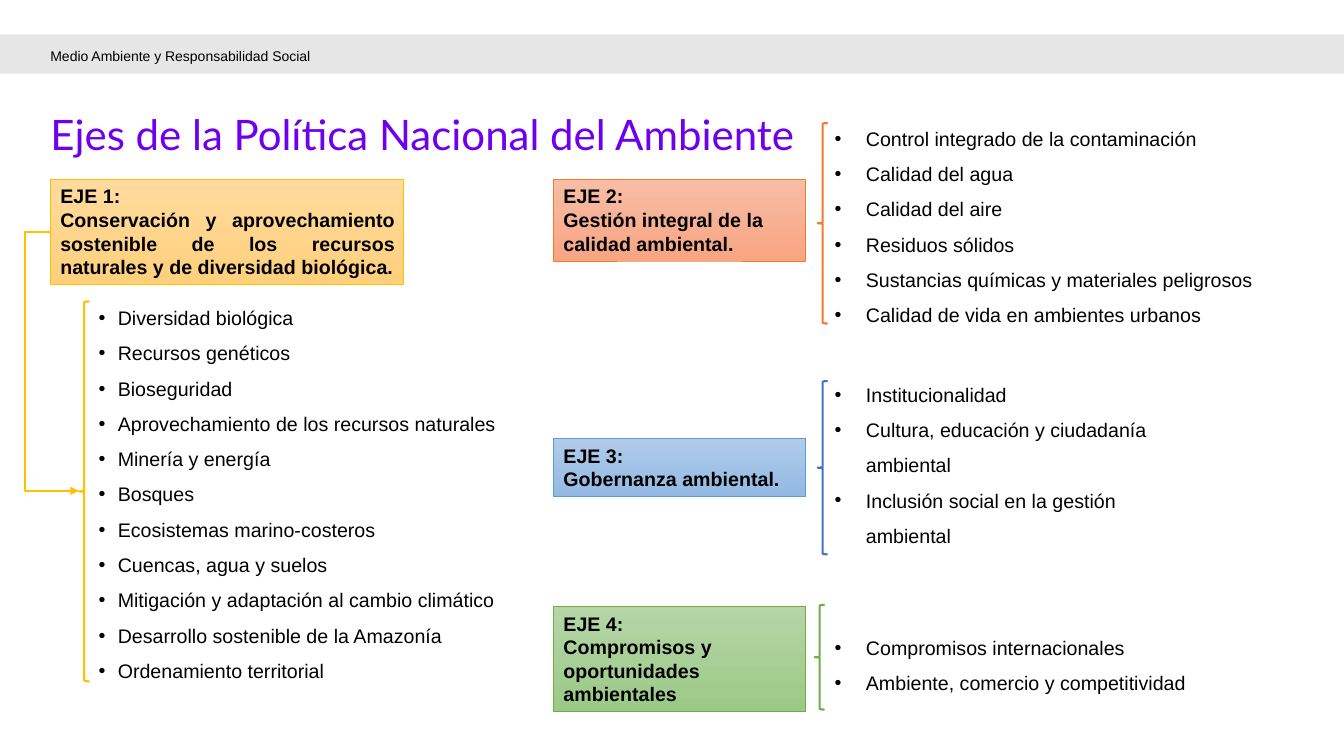
import pptx
import pptx.util
import pptx.dml.color
import pptx.enum.shapes
import pptx.enum.text
import lxml.etree

RGBColor = pptx.dml.color.RGBColor
SHAPE = pptx.enum.shapes.MSO_SHAPE
ALIGN = pptx.enum.text.PP_ALIGN
ANCHOR = pptx.enum.text.MSO_ANCHOR
Pt = pptx.util.Pt

PX = 9144  # 100 px to the inch
BLACK = RGBColor(0x00, 0x00, 0x00)
PURPLE = RGBColor(0x6E, 0x00, 0xED)
GRAY = RGBColor(0xE7, 0xE6, 0xE6)
GOLD = RGBColor(0xFF, 0xC0, 0x00)
GOLD_TOP, GOLD_BOTTOM = RGBColor(0xFF, 0xDB, 0x9E), RGBColor(0xFF, 0xD0, 0x7C)
ORANGE = RGBColor(0xED, 0x7D, 0x31)
ORANGE_TOP, ORANGE_BOTTOM = RGBColor(0xF7, 0xBD, 0xA5), RGBColor(0xF8, 0xA5, 0x82)
SKY = RGBColor(0x5B, 0x9B, 0xD5)
SKY_TOP, SKY_BOTTOM = RGBColor(0xB1, 0xCB, 0xE9), RGBColor(0x93, 0xB9, 0xE4)
BLUE = RGBColor(0x44, 0x72, 0xC4)
GREEN = RGBColor(0x70, 0xAD, 0x47)
GREEN_TOP, GREEN_BOTTOM = RGBColor(0xB5, 0xD5, 0xA7), RGBColor(0x9C, 0xC9, 0x87)

HEADER = "Medio Ambiente y Responsabilidad Social"
TITLE = "Ejes de la Política Nacional del Ambiente"
JUSTIFY, LEFT = ALIGN.JUSTIFY, ALIGN.LEFT

# Places are (left, top, width, height) in px.
AXES = [
    dict(box=(50, 178, 350, 104), fill=(GOLD_TOP, GOLD_BOTTOM), border=GOLD,
         heading=["EJE 1:", "Conservación y aprovechamiento sostenible de los "
                  "recursos naturales y de diversidad biológica."],
         align=JUSTIFY, topics_at=(88, 287, 426, 394), indent=19,
         brace=(78, 299, 11, 377), brace_color=GOLD,
         topics=["Diversidad biológica", "Recursos genéticos", "Bioseguridad",
                 "Aprovechamiento de los recursos naturales",
                 "Minería y energía", "Bosques", "Ecosistemas marino-costeros",
                 "Cuencas, agua y suelos",
                 "Mitigación y adaptación al cambio climático",
                 "Desarrollo sostenible de la Amazonía",
                 "Ordenamiento territorial"]),
    dict(box=(549, 178, 250, 81), fill=(ORANGE_TOP, ORANGE_BOTTOM), border=ORANGE,
         heading=["EJE 2:", "Gestión integral de la", "calidad ambiental."],
         align=LEFT, topics_at=(818, 109, 444, 218), indent=31,
         brace=(811, 122, 10, 199), brace_color=ORANGE,
         topics=["Control integrado de la contaminación", "Calidad del agua",
                 "Calidad del aire", "Residuos sólidos",
                 "Sustancias químicas y materiales peligrosos",
                 "Calidad de vida en ambientes urbanos"]),
    dict(box=(549, 435, 250, 57), fill=(SKY_TOP, SKY_BOTTOM), border=SKY,
         heading=["EJE 3:", "Gobernanza ambiental."],
         align=JUSTIFY, topics_at=(818, 363, 385, 187), indent=31,
         brace=(811, 378, 10, 172), brace_color=BLUE,
         topics=["Institucionalidad",
                 "Cultura, educación y ciudadanía ambiental",
                 "Inclusión social en la gestión ambiental"]),
    dict(box=(549, 602, 250, 104), fill=(GREEN_TOP, GREEN_BOTTOM), border=GREEN,
         heading=["EJE 4:", "Compromisos y", "oportunidades", "ambientales"],
         align=JUSTIFY, topics_at=(818, 614, 415, 81), indent=31,
         brace=(808, 600, 10, 104), brace_color=GREEN,
         topics=["Compromisos internacionales",
                 "Ambiente, comercio y competitividad"]),
]
ELBOW_X = 25
BOX_MARGIN_RIGHT = 8  # leaves room for the longest heading line


def emu(place):
    return [v * PX for v in place]


def add_xml(parent, tag, **attributes):
    return lxml.etree.SubElement(parent, pptx.oxml.ns.qn(tag), attributes)


def write(tf, lines, size=14, font="Arial", color=BLACK, bold=False,
          align=LEFT, spacing=1.0, indent=0):
    """Fill a text frame, one paragraph a line; an indent brings bullets."""
    tf.word_wrap = True
    for i, line in enumerate(lines):
        p = tf.paragraphs[0] if i == 0 else tf.add_paragraph()
        p.alignment = align
        p.line_spacing = spacing
        if indent:
            pPr = p._p.get_or_add_pPr()
            pPr.set("marL", str(indent * PX))
            pPr.set("indent", str(-indent * PX))
            add_xml(pPr, "a:buFont", typeface="Arial")
            add_xml(pPr, "a:buChar", char="•")
        r = p.add_run()
        r.text = line
        r.font.size, r.font.name, r.font.bold = Pt(size), font, bold
        r.font.color.rgb = color


def add_text(s, place, lines, inset=True, anchor=ANCHOR.TOP, **style):
    tf = s.shapes.add_textbox(*emu(place)).text_frame
    if not inset:
        tf.margin_left = tf.margin_top = tf.margin_right = tf.margin_bottom = 0
    tf.vertical_anchor = anchor
    write(tf, lines, **style)


def add_outlined(s, kind, place, color, width):
    sp = s.shapes.add_shape(kind, *emu(place))
    sp.shadow.inherit = False
    sp.line.color.rgb = color
    sp.line.width = Pt(width)
    return sp


def add_axis(s, axis):
    sp = add_outlined(s, SHAPE.RECTANGLE, axis["box"], axis["border"], 0.5)
    sp.fill.gradient()
    sp.fill.gradient_angle = 270
    for stop, color in zip(sp.fill.gradient_stops, axis["fill"]):
        stop.color.rgb = color
    sp.text_frame.vertical_anchor = ANCHOR.TOP
    sp.text_frame.margin_right = BOX_MARGIN_RIGHT * PX
    write(sp.text_frame, axis["heading"], bold=True, align=axis["align"])
    add_text(s, axis["topics_at"], axis["topics"], spacing=1.5,
             indent=axis["indent"])
    brace = add_outlined(s, SHAPE.LEFT_BRACE, axis["brace"],
                         axis["brace_color"], 1.5)
    brace.fill.background()


def add_elbow_arrow(s, axis):
    """Lead from the left side of the box, around x = ELBOW_X, to its brace."""
    left, top, _, height = axis["box"]
    brace_left, brace_top, _, brace_height = axis["brace"]
    start = (left, top + height // 2)
    end = (brace_left, brace_top + brace_height // 2)
    line = s.shapes.add_connector(pptx.enum.shapes.MSO_CONNECTOR.ELBOW,
                                  *emu(start + end))
    line.line.color.rgb = axis["border"]
    line.line.width = Pt(1.5)
    add_xml(line.line._get_or_add_ln(), "a:tailEnd", type="triangle")
    spPr = line._element.spPr
    add_xml(spPr, "a:effectLst")
    bend = round((ELBOW_X - left) / (brace_left - left) * 100000)
    geometry = spPr.find(pptx.oxml.ns.qn("a:prstGeom"))
    guides = geometry.find(pptx.oxml.ns.qn("a:avLst"))
    if guides is None:
        guides = add_xml(geometry, "a:avLst")
    add_xml(guides, "a:gd", name="adj1", fmla=f"val {bend}")


def main():
    prs = pptx.Presentation()
    prs.slide_width, prs.slide_height = emu((1333, 750))
    s = prs.slides.add_slide(prs.slide_layouts[6])

    band = s.shapes.add_shape(SHAPE.RECTANGLE, *emu((0, 34, 1333, 39)))
    band.shadow.inherit = False
    band.fill.solid()
    band.fill.fore_color.rgb = GRAY
    band.line.fill.background()
    add_text(s, (50, 117, 759, 46), [TITLE], inset=False, anchor=ANCHOR.MIDDLE,
             size=30, font="Lato", color=PURPLE, spacing=0.6)
    add_text(s, (50, 39, 410, 32), [HEADER], inset=False, size=10, spacing=1.5)

    for axis in AXES:
        add_axis(s, axis)
    add_elbow_arrow(s, AXES[0])
    prs.save("out.pptx")


if __name__ == "__main__":
    main()
